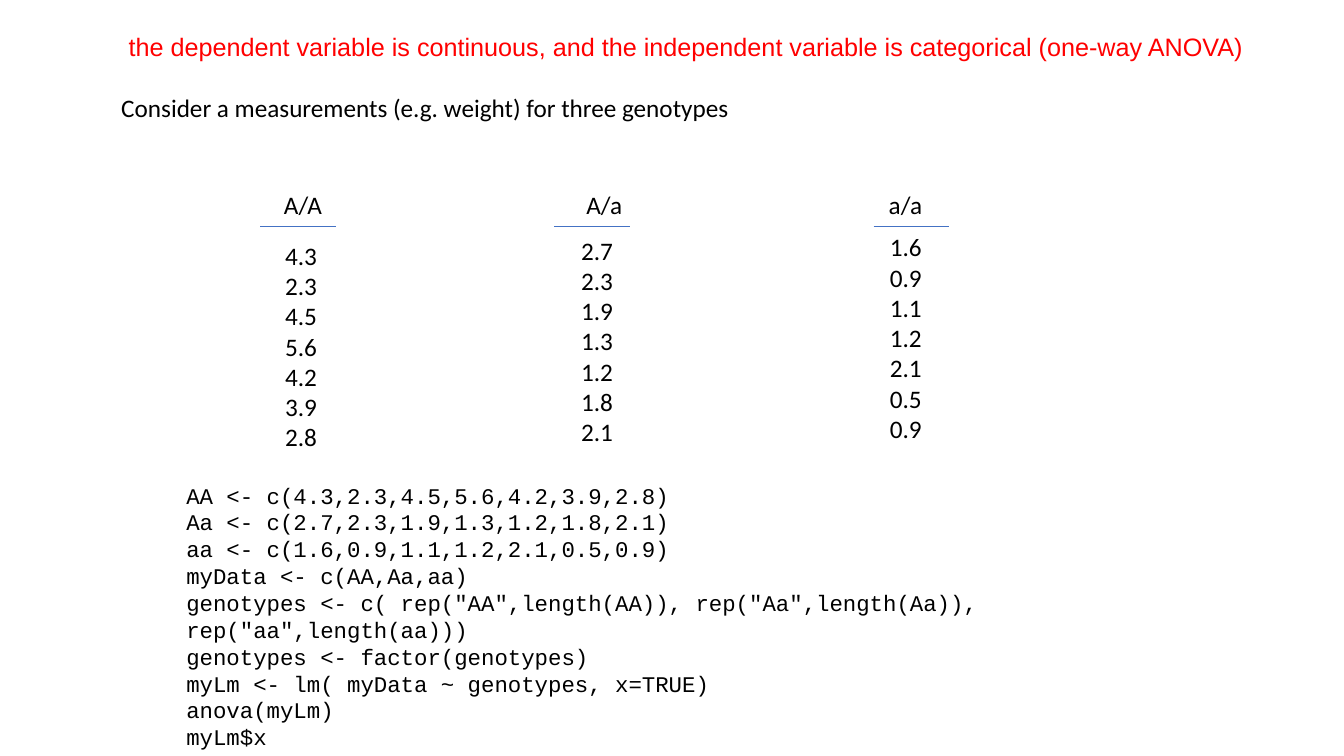
import collections
import dataclasses

import lxml.etree
import pptx
import pptx.dml.color
import pptx.enum.shapes
import pptx.oxml.ns
import pptx.util

PX = 9525
Box = collections.namedtuple("Box", "left top width height")
Genotype = collections.namedtuple("Genotype", "label weights rule_left weights_box")


@dataclasses.dataclass(frozen=True)
class Theme:
    red: str = "FF0000"
    ink: str = "000000"
    rule: str = "4472C4"
    title_font: str = "Arial"
    body_font: str = "Calibri"
    code_font: str = "Courier New"
    body_size: int = 18
    code_size: int = 16
    rule_width: float = 0.5
    line_gap: int = 22


THEME = Theme()

GENOTYPES = [
    Genotype("A/A", "4.3 2.3 4.5 5.6 4.2 3.9 2.8", 248, Box(262, 224, 50, 213)),
    Genotype("A/a", "2.7 2.3 1.9 1.3 1.2 1.8 2.1", 528, Box(544, 219, 50, 213)),
    Genotype("a/a", "1.6 0.9 1.1 1.2 2.1 0.5 0.9", 832, Box(838, 216, 50, 213)),
]

R_CODE = """AA <- c(4.3,2.3,4.5,5.6,4.2,3.9,2.8)
Aa <- c(2.7,2.3,1.9,1.3,1.2,1.8,2.1)
aa <- c(1.6,0.9,1.1,1.2,2.1,0.5,0.9)
myData <- c(AA,Aa,aa)
genotypes <- c( rep("AA",length(AA)), rep("Aa",length(Aa)), rep("aa",length(aa)))
genotypes <- factor(genotypes)
myLm <- lm( myData ~ genotypes, x=TRUE)
anova(myLm)
myLm$x"""


def px(length):
    return pptx.util.Emu(length * PX)


def style(paragraph, family, size, color):
    paragraph.font.name = family
    paragraph.font.size = pptx.util.Pt(size)
    paragraph.font.color.rgb = pptx.dml.color.RGBColor.from_string(color)


def add_lines(slide, box, lines, family=THEME.body_font, size=THEME.body_size, wrap=True):
    frame = slide.shapes.add_textbox(*map(px, box)).text_frame
    frame.word_wrap = wrap
    frame.text = "\n".join(lines)
    for paragraph in frame.paragraphs:
        style(paragraph, family, size, THEME.ink)
    return frame.paragraphs


def add_heading(slide, box):
    title, introduction = add_lines(slide, box, [
        "the dependent variable is continuous, and the independent variable is categorical (one-way ANOVA)",
        "Consider a measurements (e.g. weight) for three genotypes",
    ])
    style(title, THEME.title_font, THEME.body_size, THEME.red)
    title._p.get_or_add_pPr().set("marL", str(px(7)))
    introduction.space_before = pptx.util.Pt(THEME.line_gap)


def add_genotype_labels(slide, box, tab_step):
    labels = add_lines(slide, box, ["\t".join(g.label for g in GENOTYPES)])[0]
    tabs = lxml.etree.Element(pptx.oxml.ns.qn("a:tabLst"))
    for column in range(1, len(GENOTYPES)):
        lxml.etree.SubElement(tabs, pptx.oxml.ns.qn("a:tab"),
                              pos=str(px(column * tab_step)), algn="l")
    properties = labels._p.get_or_add_pPr()
    properties.insert(0, tabs)


def add_genotype_column(slide, genotype, rule_top, rule_length):
    rule = slide.shapes.add_connector(
        pptx.enum.shapes.MSO_CONNECTOR.STRAIGHT,
        px(genotype.rule_left), px(rule_top),
        px(genotype.rule_left + rule_length), px(rule_top))
    rule.line.color.rgb = pptx.dml.color.RGBColor.from_string(THEME.rule)
    rule.line.width = pptx.util.Pt(THEME.rule_width)
    lxml.etree.SubElement(rule._element.spPr, pptx.oxml.ns.qn("a:effectLst"))
    add_lines(slide, genotype.weights_box, genotype.weights.split(), wrap=False)


def add_code(slide, box):
    add_lines(slide, box, R_CODE.split("\n"), THEME.code_font, THEME.code_size)


def main():
    presentation = pptx.Presentation()
    presentation.slide_width = px(1280)
    presentation.slide_height = px(720)
    slide = presentation.slides.add_slide(presentation.slide_layouts[6])
    add_heading(slide, Box(106, 25, 1097, 97))
    add_genotype_labels(slide, Box(261, 176, 642, 38), tab_step=288)
    for genotype in GENOTYPES:
        add_genotype_column(slide, genotype, rule_top=216, rule_length=72)
    add_code(slide, Box(168, 454, 992, 266))
    presentation.save("out.pptx")


if __name__ == "__main__":
    main()
